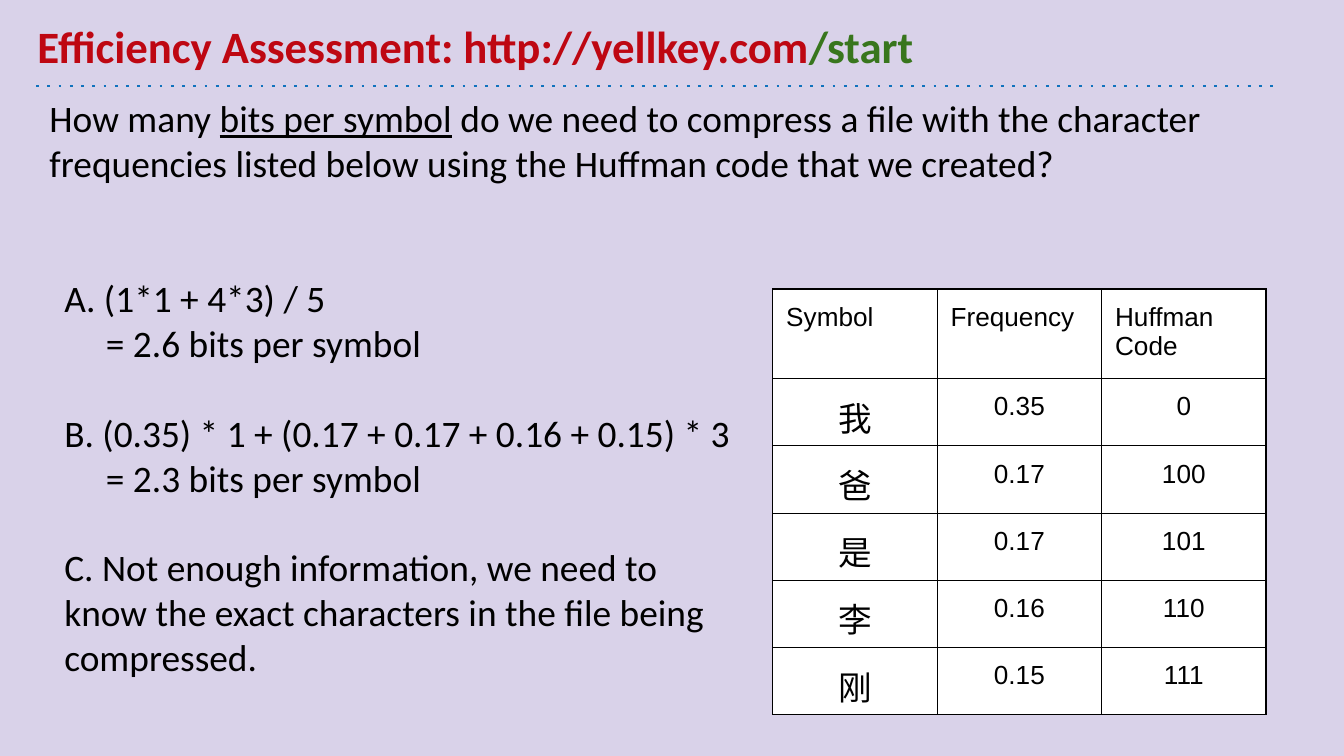
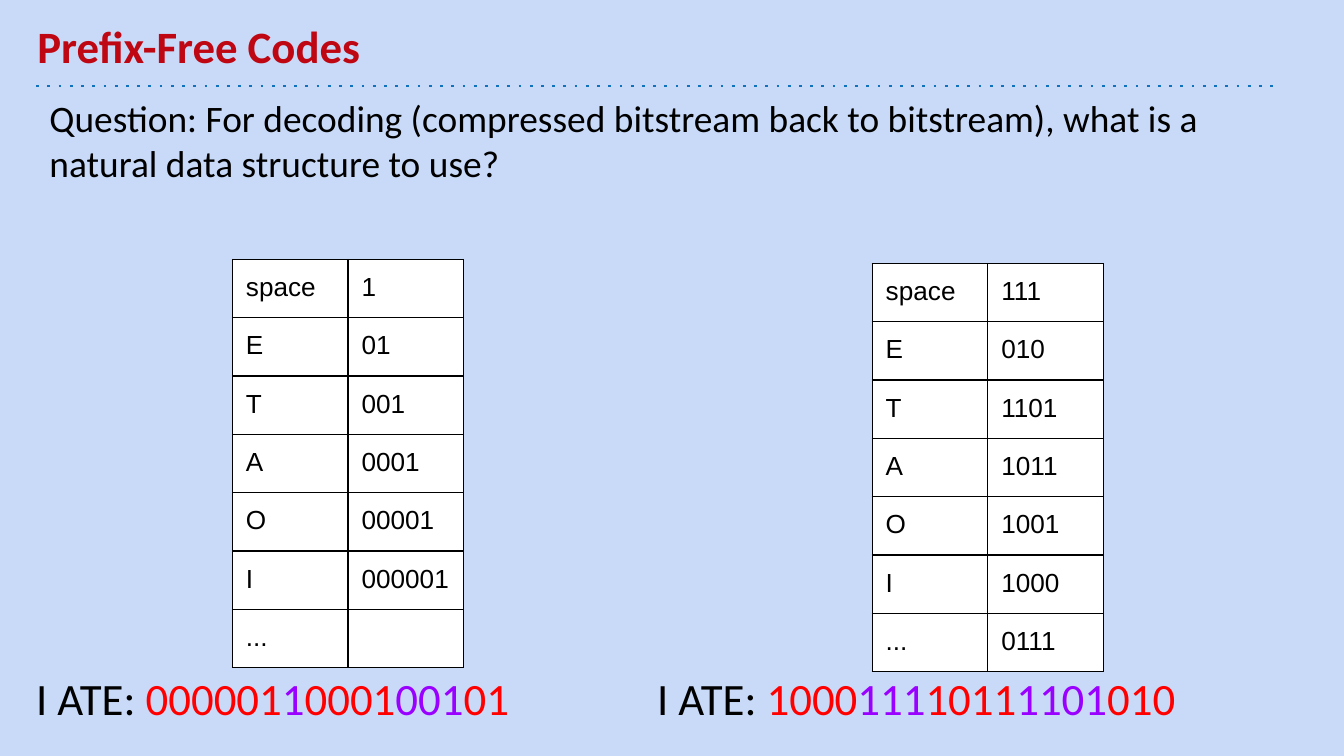
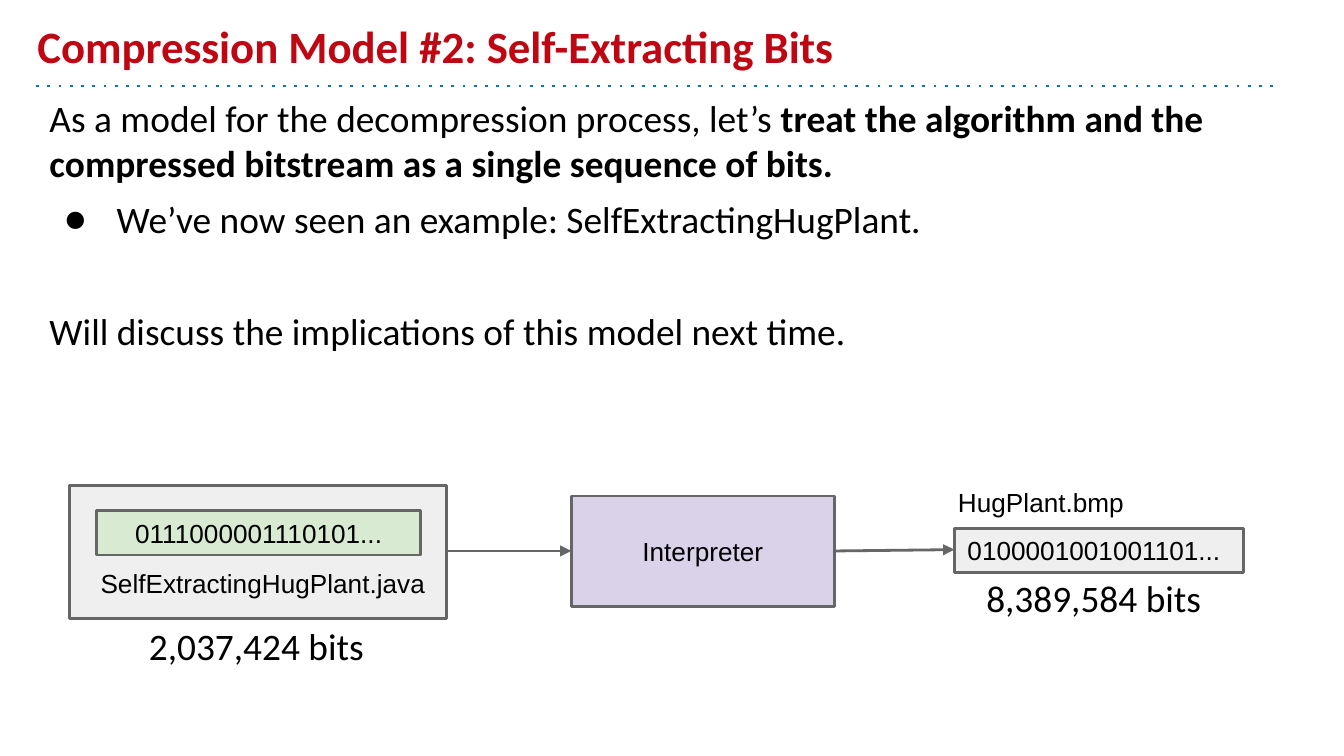
"""Build three lecture slides on Huffman codes and self-extracting bits."""

from dataclasses import dataclass
from typing import Optional

from lxml.etree import SubElement
from pptx import Presentation
from pptx.dml.color import RGBColor
from pptx.enum.shapes import MSO_CONNECTOR, MSO_SHAPE
from pptx.enum.text import MSO_ANCHOR, PP_ALIGN
from pptx.oxml.ns import qn
from pptx.shapes.connector import Connector
from pptx.slide import Slide
from pptx.util import Inches, Pt

COLORS = {
    "title": "BE0712",
    "rule": "1072BD",
    "black": "000000",
    "white": "FFFFFF",
    "green": "38761D",
    "red": "FF0000",
    "purple": "9900FF",
    "lavender": "D9D2E9",
    "sky": "C9DAF8",
    "mint": "D9EAD3",
    "light gray": "EFEFEF",
    "dark gray": "666666",
}
BODY_FONT = "Calibri"
LABEL_FONT = "Arial"
BODY_SIZE = 20
LABEL_SIZE = 14
MARGIN = Inches(0.1)


@dataclass(frozen=True)
class Span:
    text: str
    color: str = "black"
    bold: bool = False
    underline: bool = False


@dataclass(frozen=True)
class Line:
    spans: tuple[Span, ...]
    space_before: float = 0
    indent: float = 0
    bullet: bool = False


@dataclass(frozen=True)
class Box:
    left: float
    top: float
    width: float
    height: float
    lines: tuple[Line, ...] = ()
    size: float = BODY_SIZE
    font: str = BODY_FONT
    anchor: MSO_ANCHOR = MSO_ANCHOR.TOP
    align: PP_ALIGN = PP_ALIGN.LEFT
    fill: Optional[str] = None
    outline: Optional[str] = None


@dataclass(frozen=True)
class Grid:
    left: float
    top: float
    width: float
    row_heights: tuple[float, ...]
    rows: tuple[tuple[str, ...], ...]


def rgb(name: str) -> RGBColor:
    """Look up a named colour."""
    return RGBColor.from_string(COLORS[name])


def plain(text: str, **options) -> Line:
    """Make a line from one unstyled span."""
    return Line((Span(text),), **options)


def write_line(paragraph, line: Line, size: float, font: str, align: PP_ALIGN) -> None:
    """Fill a paragraph with the styled spans of a line."""
    paragraph.alignment = align
    if line.space_before:
        paragraph.space_before = Pt(line.space_before)
    properties = paragraph._p.get_or_add_pPr()
    if line.indent:
        properties.set("marL", str(Inches(line.indent)))
    if line.bullet:
        properties.set("indent", str(Inches(-0.39)))
        bullet_color = SubElement(properties, qn("a:buClr"))
        SubElement(bullet_color, qn("a:srgbClr"), val=COLORS["black"])
        SubElement(properties, qn("a:buFont"), typeface=BODY_FONT)
        SubElement(properties, qn("a:buChar"), char="●")
    for span in line.spans:
        run = paragraph.add_run()
        run.text = span.text
        run.font.name = font
        run.font.size = Pt(size)
        run.font.bold = span.bold
        run.font.underline = span.underline
        run.font.color.rgb = rgb(span.color)


def add_box(slide: Slide, box: Box) -> None:
    """Draw a text box, or a rectangle when the box has a fill."""
    frame = [Inches(value) for value in (box.left, box.top, box.width, box.height)]
    if box.fill:
        shape = slide.shapes.add_shape(MSO_SHAPE.RECTANGLE, *frame)
        shape.shadow.inherit = False
        shape.fill.solid()
        shape.fill.fore_color.rgb = rgb(box.fill)
        if box.outline:
            shape.line.color.rgb = rgb(box.outline)
            shape.line.width = Pt(1.5)
        else:
            shape.line.fill.background()
    else:
        shape = slide.shapes.add_textbox(*frame)
    text_frame = shape.text_frame
    text_frame.word_wrap = True
    text_frame.vertical_anchor = box.anchor
    text_frame.margin_left = text_frame.margin_right = MARGIN
    text_frame.margin_top = text_frame.margin_bottom = MARGIN
    for index, line in enumerate(box.lines):
        paragraph = text_frame.add_paragraph() if index else text_frame.paragraphs[0]
        write_line(paragraph, line, box.size, box.font, box.align)


def add_line(slide: Slide, start: tuple[float, float], end: tuple[float, float], color: str) -> Connector:
    """Draw a straight line without a shadow."""
    connector = slide.shapes.add_connector(
        MSO_CONNECTOR.STRAIGHT, *(Inches(value) for value in start + end)
    )
    connector.line.color.rgb = rgb(color)
    connector.line.width = Pt(1.5)
    SubElement(connector._element.spPr, qn("a:effectLst"))
    return connector


def add_arrow(slide: Slide, start: tuple[float, float], end: tuple[float, float]) -> None:
    """Draw a line that ends in a triangle."""
    connector = add_line(slide, start, end, "dark gray")
    SubElement(connector.line._get_or_add_ln(), qn("a:tailEnd"), type="triangle")


def add_borders(cell) -> None:
    """Give a table cell thin black borders."""
    properties = cell._tc.get_or_add_tcPr()
    for side in ("lnL", "lnR", "lnT", "lnB"):
        border = SubElement(properties, qn(f"a:{side}"), w=str(Pt(0.75)))
        fill = SubElement(border, qn("a:solidFill"))
        SubElement(fill, qn("a:srgbClr"), val=COLORS["black"])


def add_grid(slide: Slide, grid: Grid) -> None:
    """Draw a white table, with data centred when it has three columns."""
    column_count = len(grid.rows[0])
    table = slide.shapes.add_table(
        len(grid.rows), column_count, Inches(grid.left), Inches(grid.top),
        Inches(grid.width), Inches(sum(grid.row_heights)),
    ).table
    table.first_row = table.horz_banding = False
    for row_index, values in enumerate(grid.rows):
        table.rows[row_index].height = Inches(grid.row_heights[row_index])
        for column_index, value in enumerate(values):
            cell = table.cell(row_index, column_index)
            add_borders(cell)
            cell.fill.solid()
            cell.fill.fore_color.rgb = rgb("white")
            cell.margin_left = cell.margin_right = MARGIN
            cell.margin_top = cell.margin_bottom = MARGIN
            is_data = column_count == 3 and row_index > 0
            is_symbol = is_data and column_index == 0
            paragraph = cell.text_frame.paragraphs[0]
            if value:
                write_line(
                    paragraph,
                    plain(value),
                    18 if is_symbol else LABEL_SIZE,
                    BODY_FONT if is_symbol else LABEL_FONT,
                    PP_ALIGN.CENTER if is_data else PP_ALIGN.LEFT,
                )
            else:
                SubElement(paragraph._p, qn("a:endParaRPr"), sz=str(LABEL_SIZE * 100))


def start_slide(presentation, background: str, title: tuple[Span, ...], body: Box) -> Slide:
    """Add a slide with its background, dotted rule, title and body."""
    slide = presentation.slides.add_slide(presentation.slide_layouts[6])
    slide.background.fill.solid()
    slide.background.fill.fore_color.rgb = rgb(background)
    rule = add_line(slide, (0.27, 0.64), (9.5, 0.64), "rule")
    SubElement(rule.line._get_or_add_ln(), qn("a:prstDash"), val="dot")
    add_box(slide, Box(0.18, 0.1, 9, 0.54, (Line(title),), 24, anchor=MSO_ANCHOR.BOTTOM))
    add_box(slide, body)
    return slide


def title_span(text: str, color: str = "title") -> Span:
    """Make a bold title span."""
    return Span(text, color, bold=True)


def build_assessment(presentation) -> None:
    """Build the bits-per-symbol question."""
    question = Line((
        Span("How many "),
        Span("bits per symbol", underline=True),
        Span(" do we need to compress a file with the character frequencies listed below"
             " using the Huffman code that we created?"),
    ))
    slide = start_slide(
        presentation,
        "lavender",
        (title_span("Efficiency Assessment: http://yellkey.com"), title_span("/start", "green")),
        Box(0.27, 0.61, 9.23, 1.15, (question,)),
    )
    add_grid(slide, Grid(5.75, 2.15, 3.67, (0.41,) * 6, (
        ("Symbol", "Frequency", "Huffman Code"),
        ("我", "0.35", "0"),
        ("爸", "0.17", "100"),
        ("是", "0.17", "101"),
        ("李", "0.16", "110"),
        ("刚", "0.15", "111"),
    )))
    add_box(slide, Box(0.38, 1.95, 5.28, 3.14, (
        plain("A. (1*1 + 4*3) / 5"),
        plain("= 2.6 bits per symbol", indent=0.31),
        plain("B. (0.35) * 1 + (0.17 + 0.17 + 0.16 + 0.15) * 3", space_before=24),
        plain("= 2.3 bits per symbol", indent=0.31),
        plain("C. Not enough information, we need to know the exact characters"
              " in the file being compressed.", space_before=24),
    )))


def add_encoded_text(slide: Slide, left: float, width: float, codes: tuple[str, ...]) -> None:
    """Write the encoded phrase with codes in alternating colours."""
    spans = [Span("I ATE: ")]
    for index, code in enumerate(codes):
        spans.append(Span(code, "purple" if index % 2 else "red"))
    add_box(slide, Box(left, 4.85, width, 0.68, (Line(tuple(spans)),), 24, anchor=MSO_ANCHOR.MIDDLE))


def build_prefix_free(presentation) -> None:
    """Build the comparison of two prefix-free codes."""
    question = plain("Question: For decoding (compressed bitstream back to bitstream),"
                     " what is a natural data structure to use?")
    slide = start_slide(
        presentation, "sky", (title_span("Prefix-Free Codes"),),
        Box(0.27, 0.61, 9.23, 4.54, (question,)),
    )
    symbols = ("space", "E", "T", "A", "O", "I", "...")
    right_codes = ("111", "010", "1101", "1011", "1001", "1000", "0111")
    left_codes = ("1", "01", "001", "0001", "00001", "000001", "")
    add_grid(slide, Grid(6.49, 1.96, 1.72, (0.4,) + (0.43,) * 6, tuple(zip(symbols, right_codes))))
    add_grid(slide, Grid(1.73, 1.93, 1.72, (0.39,) * 7, tuple(zip(symbols, left_codes))))
    add_encoded_text(slide, 0.17, 3.95, ("000001", "1", "0001", "001", "01"))
    add_encoded_text(slide, 4.79, 4.71, ("1000", "111", "1011", "1101", "010"))


def build_self_extracting(presentation) -> None:
    """Build the self-extracting bits model and its diagram."""
    body = (
        Line((
            Span("As a model for the decompression process, let’s "),
            Span("treat the algorithm and the compressed bitstream as a single sequence of bits.",
                 bold=True),
        )),
        plain("We’ve now seen an example: SelfExtractingHugPlant.",
              space_before=6, indent=0.5, bullet=True),
        plain("Will discuss the implications of this model next time.", space_before=36),
    )
    slide = start_slide(
        presentation, "white", (title_span("Compression Model #2: Self-Extracting Bits"),),
        Box(0.27, 0.61, 9.64, 2.67, body),
    )
    label = {"size": LABEL_SIZE, "font": LABEL_FONT}
    node = {**label, "anchor": MSO_ANCHOR.MIDDLE, "outline": "dark gray"}
    centered = {**node, "align": PP_ALIGN.CENTER}
    boxes = (
        Box(0.52, 3.61, 2.8, 0.99, fill="light gray", **node),
        Box(0.72, 3.8, 2.41, 0.33, (plain("0111000001110101..."),), fill="mint", **centered),
        Box(0.65, 4.12, 2.86, 0.33, (plain("SelfExtractingHugPlant.java"),), **label),
        Box(4.25, 3.69, 1.96, 0.82, (plain("Interpreter"),), fill="lavender", **centered),
        Box(7.24, 4.22, 1.87, 0.46, (plain("8,389,584 bits"),), anchor=MSO_ANCHOR.MIDDLE, fill="white"),
        Box(7.1, 3.93, 2.15, 0.33, (plain("0100001001001101..."),), fill="light gray", **node),
        Box(7.03, 3.52, 2.7, 0.33, (plain("HugPlant.bmp"),), **label),
        Box(1.01, 4.51, 1.9, 0.58, (plain("2,037,424 bits"),), anchor=MSO_ANCHOR.MIDDLE),
    )
    for box in boxes:
        add_box(slide, box)
    add_arrow(slide, (3.32, 4.1), (4.25, 4.1))
    add_arrow(slide, (6.21, 4.1), (7.1, 4.09))


def main() -> None:
    """Build and save the presentation."""
    presentation = Presentation()
    presentation.slide_width = Inches(10)
    presentation.slide_height = Inches(10 * 9 / 16)
    build_assessment(presentation)
    build_prefix_free(presentation)
    build_self_extracting(presentation)
    presentation.save("out.pptx")


if __name__ == "__main__":
    main()
